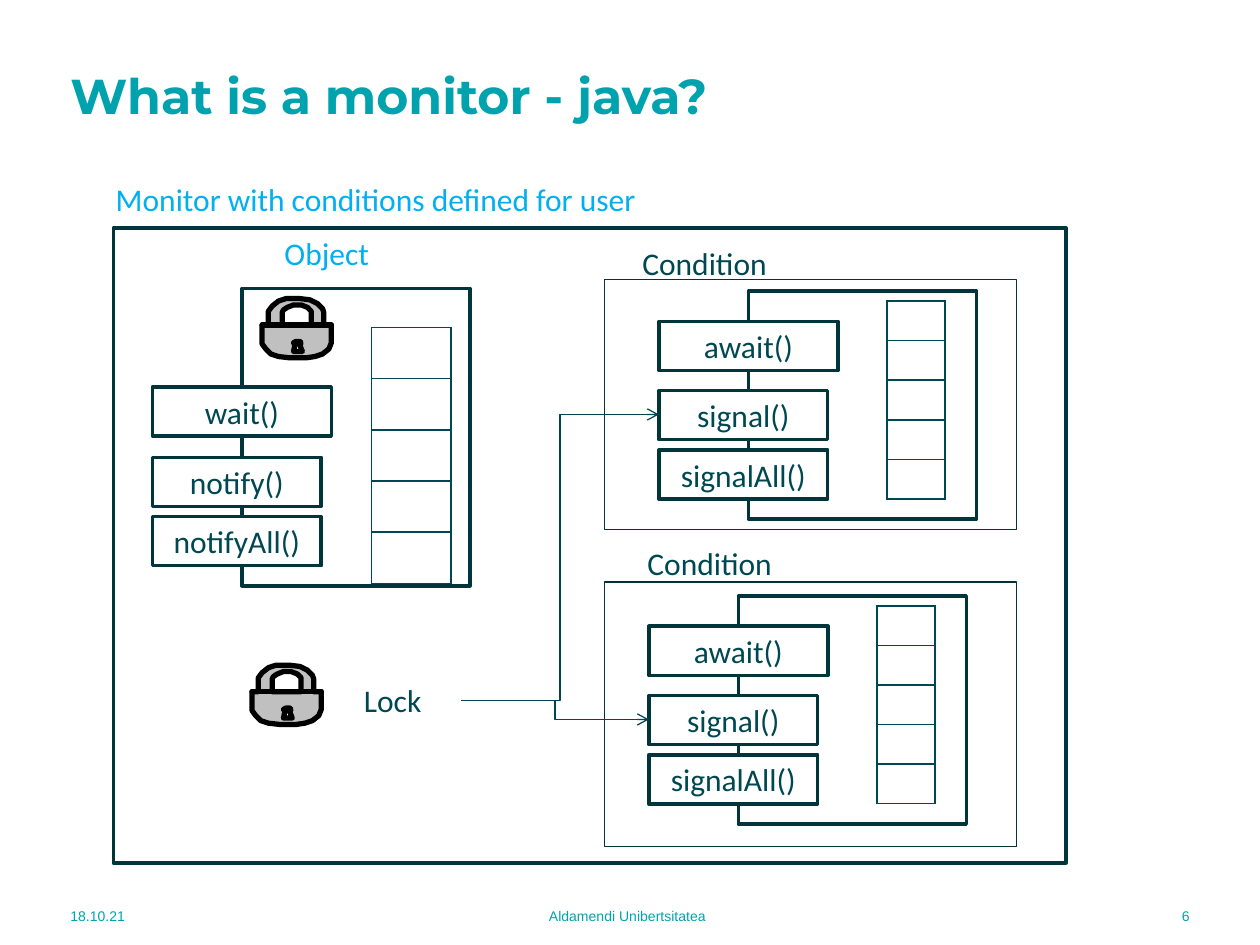
"""Build a slide that explains Java monitors with a lock and conditions."""
from lxml import etree
from pptx import Presentation
from pptx.dml.color import RGBColor
from pptx.enum import shapes, text
from pptx.oxml import ns
from pptx.util import Inches, Pt

TEAL = RGBColor(0x00, 0xA3, 0xAD)
SKY = RGBColor(0x00, 0xB0, 0xF0)
INK = RGBColor(0x00, 0x48, 0x51)
FRAME = RGBColor(0x00, 0x35, 0x3C)
THIN = RGBColor(0x05, 0x31, 0x39)
ARROW = RGBColor(0x00, 0x46, 0x4F)
WHITE = RGBColor(0xFF, 0xFF, 0xFF)
SILVER = RGBColor(0xC0, 0xC0, 0xC0)
BLACK = RGBColor(0x00, 0x00, 0x00)
LEFT, CENTER, RIGHT = text.PP_ALIGN.LEFT, text.PP_ALIGN.CENTER, text.PP_ALIGN.RIGHT
TOP, MIDDLE = text.MSO_ANCHOR.TOP, text.MSO_ANCHOR.MIDDLE

deck = Presentation()
deck.slide_width, deck.slide_height = Inches(10), Inches(7.5)
page = deck.slides.add_slide(deck.slide_layouts[6])


def write(box, words, size=18, colour=INK, font="Calibri", align=LEFT, anchor=TOP, wrap=True):
    frame = box.text_frame
    frame.word_wrap = wrap
    frame.vertical_anchor = anchor
    para = frame.paragraphs[0]
    para.alignment = align
    span = para.add_run()
    span.text = words
    span.font.size = Pt(size)
    span.font.name = font
    span.font.color.rgb = colour
    return span


def add_rect(place, colour=FRAME, width=2, fill=None):
    box = page.shapes.add_shape(shapes.MSO_SHAPE.RECTANGLE, *map(Inches, place))
    box.shadow.inherit = False
    if fill is None:
        box.fill.background()
    else:
        box.fill.solid()
        box.fill.fore_color.rgb = fill
    box.line.color.rgb = colour
    box.line.width = Pt(width)
    return box


title = page.shapes.add_textbox(Inches(0.46), Inches(0.52), Inches(8.38), Inches(0.47))
write(title, "What is a monitor - java?", 28, TEAL, "Montserrat", anchor=MIDDLE).font.bold = True

footers = [
    ("18.10.21", 0.46, 1.29, LEFT),
    ("Aldamendi Unibertsitatea", 2.37, 5.22, CENTER),
    ("6", 8.32, 1.22, RIGHT),
]
for words, left, width, align in footers:
    box = page.shapes.add_textbox(Inches(left), Inches(7.07), Inches(width), Inches(0.4))
    write(box, words, 8, TEAL, "Arial", align, MIDDLE)

condition_methods = [("await()", 1.42, 0.24), ("signal()", 1.34, 0.79), ("signalAll()", 1.34, 1.26)]
object_methods = [("wait()", 1.42, 0.78), ("notify()", 1.34, 1.34), ("notifyAll()", 1.34, 1.81)]
panels = [
    (1.92, 2.29, 2.36, object_methods, (1.03, 0.31, 0.63, 2.03)),
    (5.94, 2.31, 1.81, condition_methods, (1.1, 0.08, 0.46, 1.57)),
    (5.86, 4.73, 1.81, condition_methods, (1.1, 0.08, 0.46, 1.57)),
]
for left, top, height, methods, (queue_x, queue_y, queue_width, queue_height) in panels:
    add_rect((left, top, 1.81, height))
    for name, width, drop in methods:
        button = add_rect((left - 0.71, top + drop, width, 0.39), fill=WHITE)
        write(button, name, align=CENTER, anchor=MIDDLE)
    place = (left + queue_x, top + queue_y, queue_width, queue_height)
    queue = page.shapes.add_table(5, 1, *map(Inches, place)).table
    queue.first_row = queue.horz_banding = False
    for cell in queue.iter_cells():
        cell.margin_top = cell.margin_bottom = 0
        cell.fill.background()
        properties = cell.fill._xPr
        for index, side in enumerate(("lnL", "lnR", "lnT", "lnB")):
            border = etree.Element(ns.qn(f"a:{side}"), w=str(Pt(1)))
            fill = etree.SubElement(border, ns.qn("a:solidFill"))
            etree.SubElement(fill, ns.qn("a:srgbClr"), val=str(INK))
            properties.insert(index, border)

outline = [
    (0, 21), (5, 21), (5, 10), (8, 6), (13, 2), (19, 0), (30, 0), (38, 1), (44, 4),
    (48, 8), (49, 11), (49, 21), (55, 21), (55, 35), (53, 40), (48, 44), (42, 46),
    (35, 47), (22, 47), (13, 46), (7, 44), (3, 40), (0, 36),
]
shackle_gap = [
    (16, 21), (16, 11), (17, 9), (20, 7), (25, 5), (31, 5), (36, 7), (39, 10), (39, 21),
]
keyhole = [(30, 37), (32, 42), (25, 42), (26, 37), (25, 35), (27, 34), (30, 34), (31, 35)]
for left, top in ((2.08, 2.37), (2, 5.28)):
    builder = page.shapes.build_freeform(*outline[0], scale=Inches(0.01))
    builder.add_line_segments(outline[1:], close=True)
    for contour in (shackle_gap, [(0, 21), (55, 21)], keyhole):
        builder.move_to(*contour[0])
        builder.add_line_segments(contour[1:], close=True)
    padlock = builder.convert_to_shape(Inches(left), Inches(top))
    padlock.shadow.inherit = False
    padlock.fill.solid()
    padlock.fill.fore_color.rgb = SILVER
    padlock.line.color.rgb = BLACK
    padlock.line.width = Pt(3)

add_rect((0.9, 1.81, 7.56, 5.04))
for top, height in ((2.22, 1.98), (4.62, 2.1)):
    add_rect((4.8, top, 3.27, height), THIN, 0.75)

for end_x, end_y in ((5.23, 3.29), (5.15, 5.71)):
    points = map(Inches, (3.66, 5.56, end_x, end_y))
    arrow = page.shapes.add_connector(shapes.MSO_CONNECTOR.ELBOW, *points)
    arrow.line.color.rgb = ARROW
    arrow.line.width = Pt(0.75)
    etree.SubElement(arrow.line._get_or_add_ln(), ns.qn("a:tailEnd"), type="arrow")
    etree.SubElement(arrow._element.spPr, ns.qn("a:effectLst"))

labels = [
    ("Monitor with conditions defined for user", 0.82, 1.38, 4.38, SKY, False),
    ("Object", 2.16, 1.81, 0.93, SKY, False),
    ("Lock", 2.79, 5.36, 0.87, INK, True),
    ("Condition", 5, 1.89, 1.57, INK, True),
    ("Condition", 5.04, 4.27, 1.57, INK, True),
]
for words, left, top, width, colour, wrap in labels:
    box = page.shapes.add_textbox(Inches(left), Inches(top), Inches(width), Inches(0.4))
    write(box, words, colour=colour, wrap=wrap)

deck.save("out.pptx")
